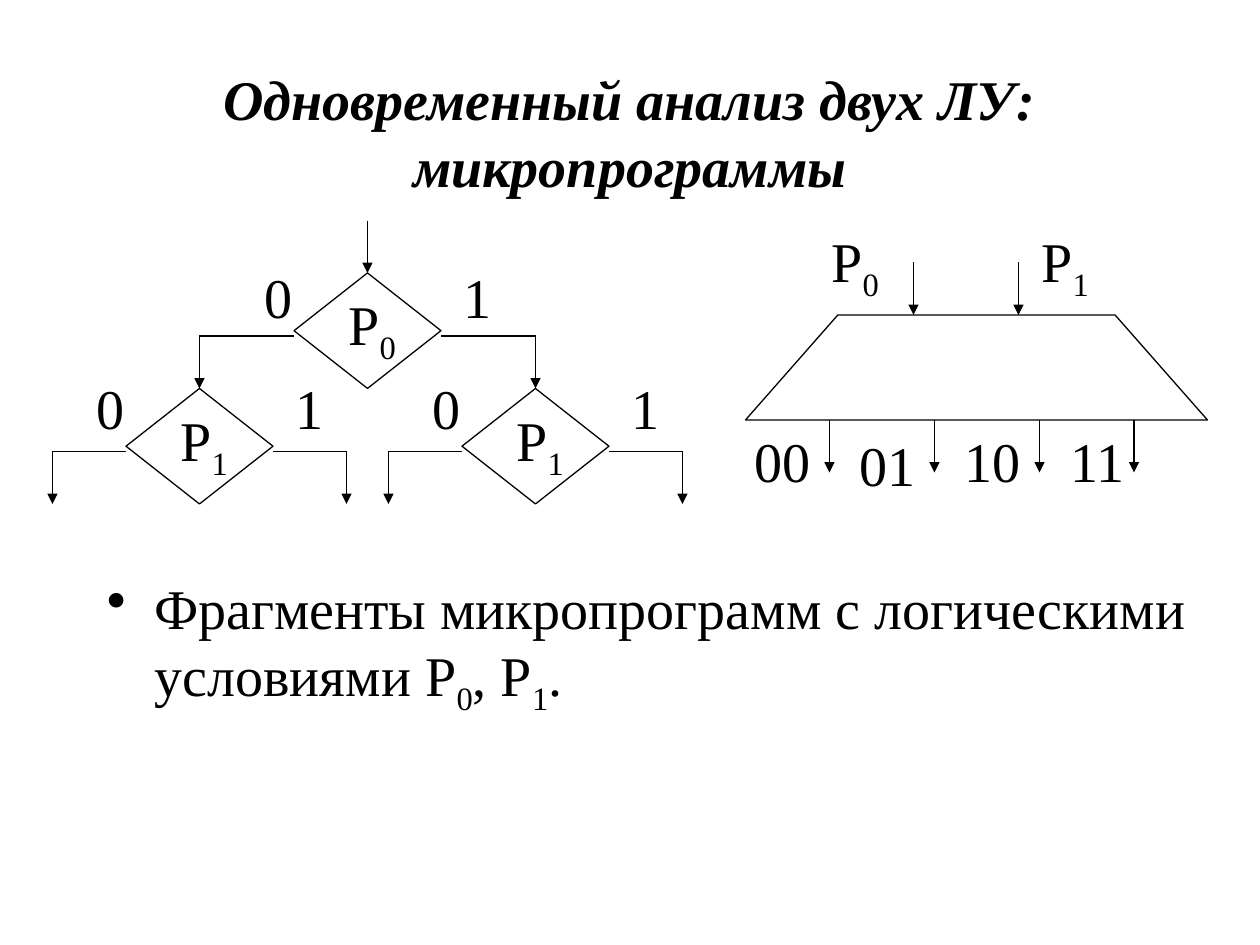
from lxml.etree import SubElement
from pptx import Presentation
from pptx.dml.color import RGBColor
from pptx.enum.shapes import MSO_CONNECTOR, MSO_SHAPE
from pptx.enum.text import MSO_ANCHOR, PP_ALIGN
from pptx.oxml.ns import qn
from pptx.util import Inches, Pt

BLACK = RGBColor(0, 0, 0)
FONT = "Times New Roman"
LINE_WIDTH = Pt(0.75)

# The slide is a grid of 120 columns and 90 rows, twelve to the inch
CELL = Inches(1) // 12
LABEL_WIDTH, LABEL_HEIGHT = 11, 8

deck = Presentation()
deck.slide_width, deck.slide_height = 120 * CELL, 90 * CELL
page = deck.slides.add_slide(deck.slide_layouts[6])


def write(column, row, pieces, width=LABEL_WIDTH, height=LABEL_HEIGHT,
          align=PP_ALIGN.LEFT, bold=False):
    """Add a text box; every second piece is a subscript."""
    box = page.shapes.add_textbox(*(int(n * CELL) for n in (column, row, width, height)))
    box.text_frame.word_wrap = True
    para = box.text_frame.paragraphs[0]
    para.alignment = align
    for index, piece in enumerate(pieces):
        span = para.add_run()
        span.text = piece
        span.font.name, span.font.size = FONT, Pt(32)
        span.font.color.rgb = BLACK
        span.font.bold = span.font.italic = bold
        if index % 2:
            span.font._element.set("baseline", "-25000")
    return box


def link(start, end, arrow=False):
    """Draw a straight line between two grid points."""
    line = page.shapes.add_connector(
        MSO_CONNECTOR.STRAIGHT, *(n * CELL for n in (*start, *end)))
    line.line.color.rgb, line.line.width = BLACK, LINE_WIDTH
    if arrow:
        SubElement(line.line._get_or_add_ln(), qn("a:tailEnd"), type="triangle")
    SubElement(line._element.spPr, qn("a:effectLst"))


# Title
title = write(9, 5, ["Одновременный анализ двух ЛУ: микропрограммы"],
              102, 15, PP_ALIGN.CENTER, bold=True)
title.text_frame.vertical_anchor = MSO_ANCHOR.MIDDLE

# Bulleted statement
body = write(9, 54, ["Фрагменты микропрограмм с логическими условиями Р",
                     "0", ", Р", "1", "."], 107, 26)
para = body.text_frame.paragraphs[0]
para.space_before = Pt(8)
bullet = para._p.get_or_add_pPr()
bullet.set("marL", str(Inches(0.38)))
bullet.set("indent", str(-Inches(0.38)))
SubElement(bullet, qn("a:buChar"), char="•")

# Decision tree: centre column, top row, label row, arm length, condition
outlines = []
link((35, 21), (35, 26), arrow=True)
for centre, top, label_row, arm, index in (
        (35, 26, 24.4, 9, "0"), (19, 37, 35, 7, "1"), (51, 37, 35, 7, "1")):
    write(centre - 3, top + 1, ["Р", index])
    outlines.append(page.shapes.add_shape(
        MSO_SHAPE.FLOWCHART_DECISION,
        (centre - 7) * CELL, top * CELL, 14 * CELL, 11 * CELL))
    for side, value, label_column in ((-1, "0", centre - 14), (1, "1", centre + 5)):
        corner = centre + side * 7
        outer = corner + side * arm
        link((corner, top + 6), (outer, top + 6))
        link((outer, top + 6), (outer, top + 11), arrow=True)
        write(label_column, label_row, [value], align=PP_ALIGN.CENTER)

# Decoder, wide side down
decoder = page.shapes.add_shape(MSO_SHAPE.FLOWCHART_MANUAL_OPERATION,
                                71 * CELL, 30 * CELL, 44 * CELL, 10 * CELL)
decoder._element.spPr.find(qn("a:xfrm")).set("flipV", "1")
outlines.append(decoder)

for shape in outlines:
    shape.shadow.inherit = False
    shape.fill.background()
    shape.line.color.rgb, shape.line.width = BLACK, LINE_WIDTH

# Decoder inputs
for label_column, arrow_column, index in ((78, 87, "0"), (98, 97, "1")):
    write(label_column, 21, ["Р", index])
    link((arrow_column, 25), (arrow_column, 30), arrow=True)

# Decoder outputs
for step, (code, row, arrow_column) in enumerate((
        ("00", 40, 79), ("01", 40.4, 89), ("10", 40, 99), ("11", 40, 108))):
    write(69 + 10 * step, row, [code], align=PP_ALIGN.CENTER)
    link((arrow_column, 40), (arrow_column, 45), arrow=True)

deck.save("out.pptx")
